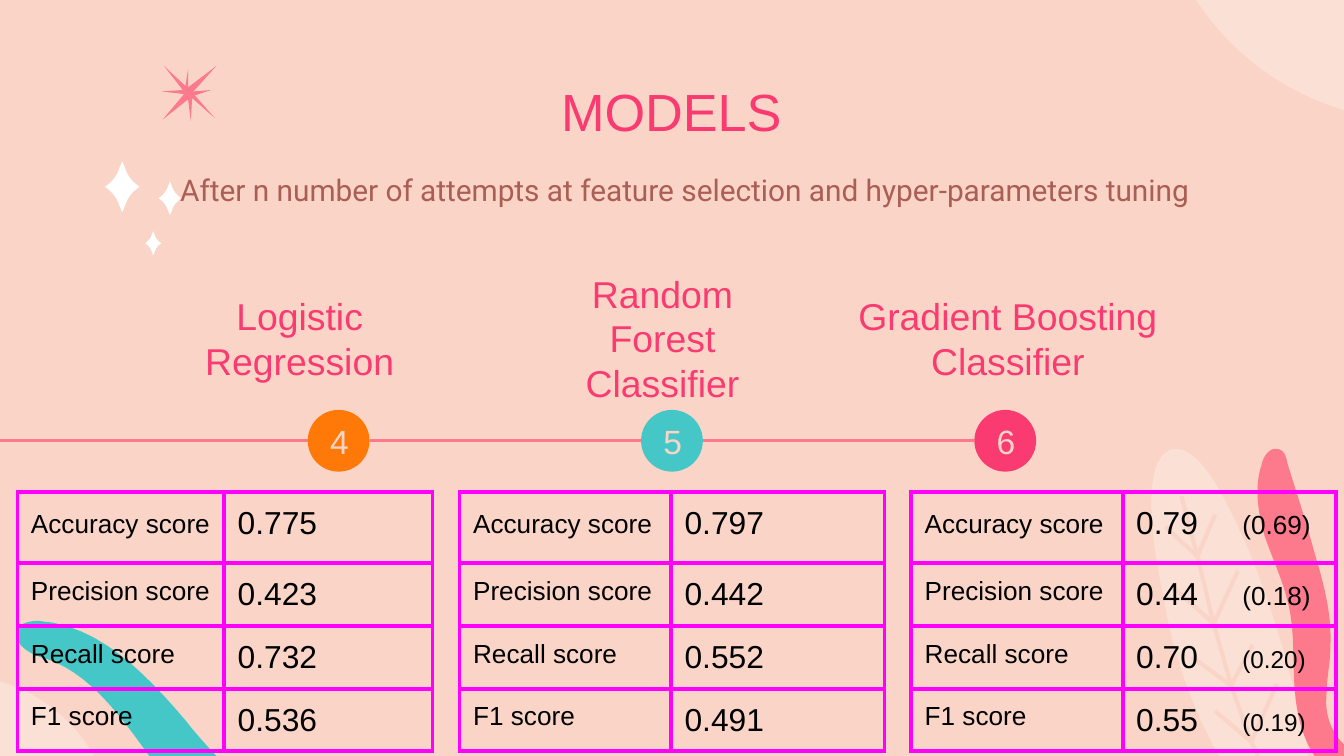
from lxml import etree
from pptx import Presentation
from pptx import util as u
from pptx.dml.color import RGBColor
from pptx.enum import shapes, text
from pptx.oxml import ns

# Grid of one-inch cells: ten columns on a 16:9 slide
COLUMNS = 10
ROWS = COLUMNS * 9 / 16
GRID = (0, 0, 1, 1)
PEACH, PINK, ROSE, TEAL, ORANGE, BROWN = "FAD5C7", "FA3B71", "FD798C", "45C7C7", "FF7908", "AA5E56"
WHITE, BLACK, MAGENTA = "FFFFFF", "000000", "FF00FF"
CENTER = text.PP_ALIGN.CENTER
TOP, MIDDLE = text.MSO_ANCHOR.TOP, text.MSO_ANCHOR.MIDDLE

# Outlines: two numbers are a corner, six are a curve
RIBBON = [(0.12, 4.72), (0.12, 4.8, 0.22, 4.87, 0.34, 4.9), (0.64, 5, 0.86, 5.27, 1.11, ROWS),
          (1.61, ROWS), (1.53, 5.54, 1.45, 5.45, 1.38, 5.36),
          (1.09, 5.02, 0.74, 4.65, 0.29, 4.62), (0.23, 4.62, 0.12, 4.63, 0.12, 4.72)]
LEFT_CORNER = [(0, ROWS), (0.7, ROWS), (0.55, 5.36, 0.29, 5.15, 0, 5.07)]
RIGHT_CORNER = [(10, 0), (8.9, 0), (9.17, 0.41, 9.55, 0.68, 10, 0.82)]
LEAF = [(8.75, 3.34), (8.74, 3.34, 8.72, 3.34, 8.7, 3.35), (8.45, 3.46, 8.62, 4.26, 8.66, 4.46),
        (8.73, 4.87, 8.87, 5.27, 9.07, ROWS), (9.73, ROWS), (9.73, 5.55, 9.71, 5.47, 9.69, 5.38),
        (9.54, 4.76, 9.36, 4.14, 9.04, 3.59), (8.99, 3.51, 8.87, 3.34, 8.75, 3.34)]
STEM = [(8.79, 3.69), (8.91, 4.14), (9.03, 4.64), (9.16, 5.1), (9.31, 5.52), (9.36, ROWS)]
VEIN_TIPS = [((8.67, 3.92), (9.04, 3.83)), ((8.75, 4.39), (9.21, 4.25)),
             ((8.87, 4.89), (9.32, 4.8)), ((9.04, 5.29), (9.5, 5.09))]
BRANCH = [(9.49, 3.34), (9.44, 3.34, 9.4, 3.4, 9.39, 3.45), (9.33, 3.62, 9.36, 3.81, 9.41, 3.99),
          (9.47, 4.16, 9.55, 4.33, 9.59, 4.51), (9.63, 4.69, 9.62, 4.88, 9.63, 5.07),
          (9.64, 5.26, 9.67, 5.45, 9.78, ROWS), (10, ROWS), (10, 5.54),
          (9.89, 5.43, 9.86, 5.3, 9.87, 5.18), (9.87, 5.05, 9.9, 4.93, 9.9, 4.8),
          (9.91, 4.57, 9.85, 4.34, 9.78, 4.11), (9.72, 3.89, 9.65, 3.67, 9.58, 3.45),
          (9.57, 3.4, 9.56, 3.34, 9.49, 3.34)]
BURST = [(1.22, 0.49), (1.36, 0.67), (1.2, 0.68), (1.37, 0.7), (1.21, 0.89), (1.4, 0.74),
         (1.42, 0.9), (1.43, 0.73), (1.6, 0.88), (1.45, 0.71), (1.57, 0.67), (1.44, 0.68),
         (1.61, 0.49), (1.4, 0.65), (1.4, 0.51), (1.38, 0.64)]
SPARKLE = [(0.5, 0), (0.58, 0.13), (0.65, 0.29, 0.81, 0.42, 1, 0.5),
           (0.81, 0.58, 0.65, 0.71, 0.58, 0.87), (0.5, 1), (0.42, 0.87),
           (0.35, 0.71, 0.19, 0.58, 0, 0.5), (0.19, 0.42, 0.35, 0.29, 0.42, 0.13)]

LABELS = ["Accuracy score", "Precision score", "Recall score", "F1 score"]
MODELS = [
    # number, colour, heading, heading box, table box, values
    ("4", ORANGE, "Logistic\nRegression", (1.24, 2.25, 1.98, 0.53), (0.13, 3.66, 3.09, 1.93),
     ["0.775", "0.423", "0.732", "0.536"]),
    ("5", TEAL, "Random Forest Classifier", (3.96, 2.25, 1.94, 0.53), (3.42, 3.66, 3.16, 1.93),
     ["0.797", "0.442", "0.552", "0.491"]),
    ("6", PINK, "Gradient Boosting Classifier", (6.07, 2.25, 2.86, 0.53), (6.78, 3.66, 3.16, 1.93),
     ["0.79\t(0.69)", "0.44\t(0.18)", "0.70\t(0.20)", "0.55\t(0.19)"]),
]


def color(value):
    return RGBColor.from_string(value)


def inches(values):
    return [u.Inches(value) for value in values]


def paint(shape, fill, opacity=100):
    shape.shadow.inherit = False
    shape.fill.solid()
    shape.fill.fore_color.rgb = color(fill)
    shape.line.fill.background()
    if opacity < 100:
        tint = shape.fill._xPr.find(".//" + ns.qn("a:srgbClr"))
        etree.SubElement(tint, ns.qn("a:alpha"), val=str(opacity * 1000))


def style(run, size, shade, font="Arial"):
    run.font.size, run.font.name, run.font.bold = u.Pt(size), font, False
    run.font.color.rgb = color(shade)


def add_outline(slide, box, outline, fill, opacity=100):
    left, top, width, height = box
    points = [outline[0]]
    for step in outline[1:]:
        if len(step) == 2:
            points.append(step)
            continue
        knots = [points[-1], step[:2], step[2:4], step[4:]]
        for part in range(1, 13):
            t = part / 12
            weights = ((1 - t) ** 3, 3 * t * (1 - t) ** 2, 3 * t * t * (1 - t), t ** 3)
            points.append(tuple(sum(w * knot[axis] for w, knot in zip(weights, knots))
                                for axis in (0, 1)))
    placed = [inches((left + x * width, top + y * height)) for x, y in points]
    builder = slide.shapes.build_freeform(*placed[0])
    builder.add_line_segments(placed[1:], close=True)
    paint(builder.convert_to_shape(), fill, opacity)


def add_line(slide, start, end, shade, width):
    line = slide.shapes.add_connector(shapes.MSO_CONNECTOR.STRAIGHT, *inches(start + end))
    line.line.color.rgb, line.line.width = color(shade), u.Pt(width)
    etree.SubElement(line._element.spPr, ns.qn("a:effectLst"))


def add_decoration(slide):
    add_outline(slide, GRID, RIBBON, TEAL)
    for outline in (LEFT_CORNER, RIGHT_CORNER, LEAF):
        add_outline(slide, GRID, outline, WHITE, 28)
    # Veins of the leaf
    for start, end in zip(STEM, STEM[1:]):
        add_line(slide, start, end, PEACH, 2.25)
    for joint, tips in zip(STEM[1:], VEIN_TIPS):
        for tip in tips:
            add_line(slide, joint, tip, PEACH, 2.25)
    add_outline(slide, GRID, BRANCH, ROSE)
    for box in ((0.78, 1.2, 0.26, 0.38), (1.18, 1.35, 0.17, 0.25), (1.08, 1.72, 0.12, 0.18)):
        add_outline(slide, box, SPARKLE, WHITE)
    add_outline(slide, GRID, BURST, ROSE)


def fill_placeholder(shape, box, words, size, shade, anchor, align=CENTER, font="Arial"):
    shape.left, shape.top, shape.width, shape.height = inches(box)
    frame = shape.text_frame
    frame.text = words
    frame.word_wrap, frame.auto_size = True, text.MSO_AUTO_SIZE.NONE
    frame.vertical_anchor = anchor
    frame.margin_left = frame.margin_right = frame.margin_top = frame.margin_bottom = u.Inches(0.1)
    for paragraph in frame.paragraphs:
        properties = paragraph._p.get_or_add_pPr()
        properties.set("marL", "0")
        properties.set("indent", "0")
        etree.SubElement(properties, ns.qn("a:buNone"))
        paragraph.alignment, paragraph.line_spacing = align, 1.0
        paragraph.space_before = u.Pt(0)
        for run in paragraph.runs:
            style(run, size, shade, font)


def add_timeline(slide, box):
    left, top, width, size = box
    pitch = (width - size) / (len(MODELS) - 1)
    middle = top + size / 2
    line_start = -0.1
    for index, (number, fill, *_) in enumerate(MODELS):
        x = left + index * pitch
        add_line(slide, (line_start, middle), (x, middle), ROSE, 1.5)
        line_start = x + size
        circle = slide.shapes.add_shape(shapes.MSO_SHAPE.OVAL, *inches((x, top, size, size)))
        paint(circle, fill)
        frame = circle.text_frame
        frame.text, frame.vertical_anchor = number, MIDDLE
        frame.paragraphs[0].alignment = CENTER
        style(frame.paragraphs[0].runs[0], 18, PEACH)


def format_cell(cell):
    cell.margin_left = cell.margin_right = cell.margin_top = cell.margin_bottom = u.Inches(0.1)
    properties = cell._tc.get_or_add_tcPr()
    for side in ("lnL", "lnR", "lnT", "lnB"):
        border = etree.SubElement(properties, ns.qn("a:" + side), w=str(u.Pt(2.25)))
        solid = etree.SubElement(border, ns.qn("a:solidFill"))
        etree.SubElement(solid, ns.qn("a:srgbClr"), val=MAGENTA)
    cell.fill.background()


def add_scores(slide, box, values):
    table = slide.shapes.add_table(len(LABELS), 2, *inches(box)).table
    table.first_row = table.horz_banding = False
    table.columns[0].width, table.columns[1].width = inches((box[2] * 0.498, box[2] * 0.502))
    for row, height in zip(table.rows, (0.53, 0.47, 0.46, 0.46)):
        row.height = u.Inches(height)
    for index, (label, value) in enumerate(zip(LABELS, values)):
        label_cell, value_cell = table.cell(index, 0), table.cell(index, 1)
        format_cell(label_cell)
        format_cell(value_cell)
        label_cell.text = label
        paragraph = label_cell.text_frame.paragraphs[0]
        paragraph.line_spacing = 1.15 if index == 0 else 1.0
        style(paragraph.runs[0], 14, BLACK)
        # A second score sits at a tab stop
        score, tab, earlier = value.partition("\t")
        paragraph = value_cell.text_frame.paragraphs[0]
        if tab:
            stops = etree.SubElement(paragraph._p.get_or_add_pPr(), ns.qn("a:tabLst"))
            etree.SubElement(stops, ns.qn("a:tab"), pos=str(u.Inches(0.79)), algn="l")
        for words, size in ((score, 17), (tab + earlier, 14 if index < 2 else 13)):
            if words:
                run = paragraph.add_run()
                run.text = words
                style(run, size, BLACK)


def main():
    presentation = Presentation()
    presentation.slide_width, presentation.slide_height = inches((COLUMNS, ROWS))
    slide = presentation.slides.add_slide(presentation.slide_layouts[4])
    slide.background.fill.solid()
    slide.background.fill.fore_color.rgb = color(PEACH)
    title, *headings, subtitle = slide.placeholders

    add_decoration(slide)
    fill_placeholder(title, (1.91, 0.49, 6.17, 0.63), "MODELS", 28, PINK, TOP)
    fill_placeholder(subtitle, (1.24, 1.18, 7.74, 0.53),
                     "After n number of attempts at feature selection and hyper-parameters tuning",
                     16, BROWN, TOP, text.PP_ALIGN.LEFT, "Roboto")
    add_timeline(slide, (2.29, 3.05, 5.42, 0.46))
    for heading, (_, _, words, heading_box, table_box, values) in zip(headings, MODELS):
        fill_placeholder(heading, heading_box, words, 20, PINK, MIDDLE)
        add_scores(slide, table_box, values)
    presentation.save("out.pptx")


if __name__ == "__main__":
    main()
